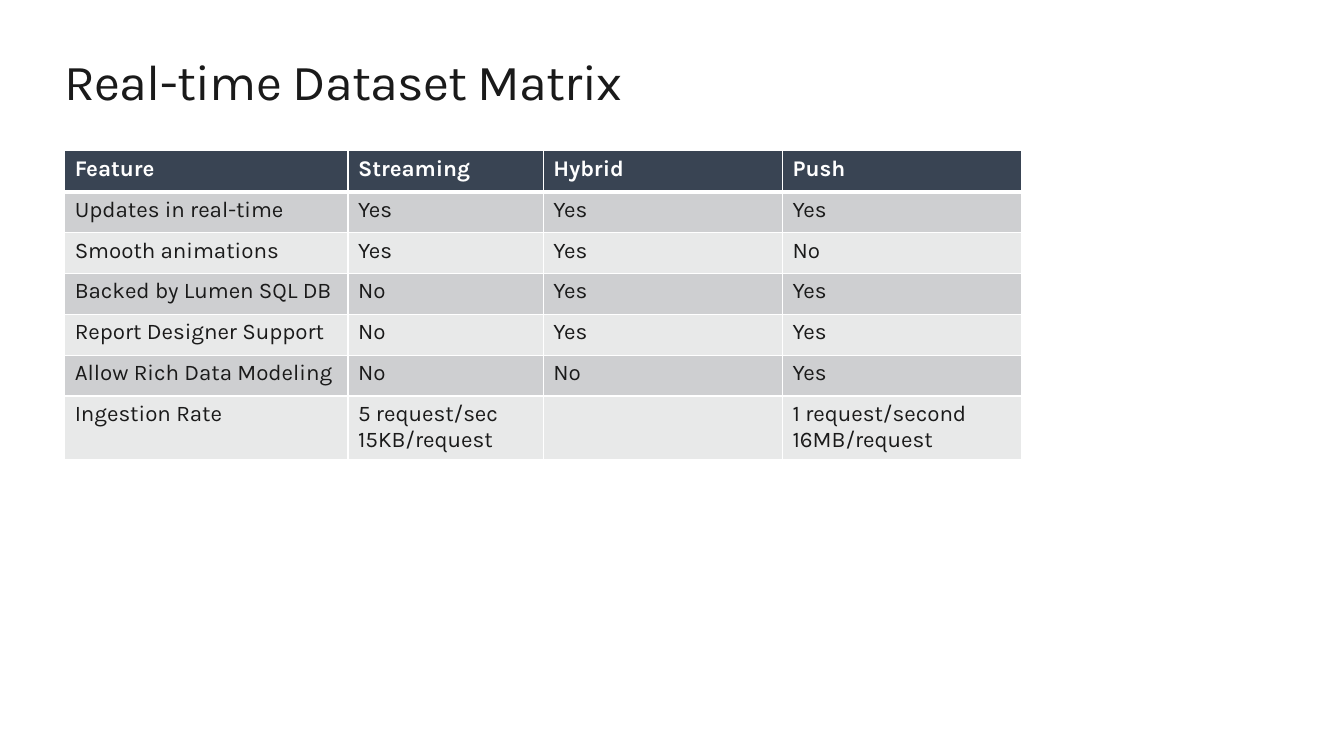
"""Build the real-time dataset feature matrix slide."""
from dataclasses import dataclass

import lxml.etree
import pptx
import pptx.dml.color
import pptx.enum.text
import pptx.oxml.ns
import pptx.util

Cm = pptx.util.Cm
Pt = pptx.util.Pt


@dataclass(frozen=True)
class Theme:
    font: str = "Karla"
    ink: str = "1A1A1A"
    paper: str = "FFFFFF"
    header: str = "394453"
    bands: tuple[str, str] = ("CECFD1", "E8E9E9")
    title_size: int = 36
    cell_size: int = 16
    thin: int = 1
    thick: int = 3


@dataclass(frozen=True)
class Feature:
    name: str
    streaming: str
    hybrid: str
    push: str

    def texts(self) -> tuple[str, ...]:
        return self.name, self.streaming, self.hybrid, self.push


THEME = Theme()
LEFT = Cm(1.63)
COLUMN_WIDTHS = (7.14, 4.92, 6.03, 6.03)
ROW_HEIGHT = 1.03
LAST_ROW_HEIGHT = 1.57
FEATURES = (
    Feature("Feature", "Streaming", "Hybrid", "Push"),
    Feature("Updates in real-time", "Yes", "Yes", "Yes"),
    Feature("Smooth animations", "Yes", "Yes", "No"),
    Feature("Backed by Lumen SQL DB", "No", "Yes", "Yes"),
    Feature("Report Designer Support", "No", "Yes", "Yes"),
    Feature("Allow Rich Data Modeling", "No", "No", "Yes"),
    Feature("Ingestion Rate", "5 request/sec\v15KB/request", "",
            "1 request/second\n16MB/request"),
)


def color(code: str) -> pptx.dml.color.RGBColor:
    return pptx.dml.color.RGBColor.from_string(code)


def format_text(frame, size: int, code: str, bold: bool = False) -> None:
    for para in frame.paragraphs:
        for span in para.runs:
            span.font.name = THEME.font
            span.font.size = Pt(size)
            span.font.bold = bold
            span.font.color.rgb = color(code)


def add_borders(cell, top: int, bottom: int) -> None:
    qn = pptx.oxml.ns.qn
    widths = {"lnL": THEME.thin, "lnR": THEME.thin, "lnT": top, "lnB": bottom}
    properties = cell._tc.get_or_add_tcPr()
    for index, (side, width) in enumerate(widths.items()):
        line = lxml.etree.Element(qn(f"a:{side}"), w=str(Pt(width)))
        fill = lxml.etree.SubElement(line, qn("a:solidFill"))
        lxml.etree.SubElement(fill, qn("a:srgbClr"), val=THEME.paper)
        properties.insert(index, line)


def add_title(page, text: str) -> None:
    box = page.shapes.add_textbox(LEFT, Cm(1.27), Cm(30.61), Cm(1.55))
    frame = box.text_frame
    frame.word_wrap = True
    frame.auto_size = pptx.enum.text.MSO_AUTO_SIZE.SHAPE_TO_FIT_TEXT
    frame.margin_left = frame.margin_right = 0
    frame.margin_top = frame.margin_bottom = 0
    frame.text = text
    format_text(frame, THEME.title_size, THEME.ink)
    frame.paragraphs[0].runs[0]._r.get_or_add_rPr().set("spc", "-50")


def style_cell(cell, row: int) -> None:
    is_header = row == 0
    cell.fill.solid()
    cell.fill.fore_color.rgb = color(
        THEME.header if is_header else THEME.bands[(row - 1) % 2])
    format_text(cell.text_frame, THEME.cell_size,
                THEME.paper if is_header else THEME.ink, is_header)
    add_borders(cell, THEME.thick if row == 1 else THEME.thin,
                THEME.thick if is_header else THEME.thin)


def add_matrix(page, features: tuple[Feature, ...]) -> None:
    heights = [ROW_HEIGHT] * (len(features) - 1) + [LAST_ROW_HEIGHT]
    table = page.shapes.add_table(
        len(features), len(COLUMN_WIDTHS), LEFT, Cm(3.8),
        Cm(sum(COLUMN_WIDTHS)), Cm(sum(heights))).table
    table.horz_banding = False
    for column, width in zip(table.columns, COLUMN_WIDTHS):
        column.width = Cm(width)
    for row, (feature, height) in enumerate(zip(features, heights)):
        table.rows[row].height = Cm(height)
        for column, text in enumerate(feature.texts()):
            cell = table.cell(row, column)
            cell.text_frame.text = text
            style_cell(cell, row)


def main() -> None:
    deck = pptx.Presentation()
    deck.slide_width, deck.slide_height = Cm(33.87), Cm(19.05)
    page = deck.slides.add_slide(deck.slide_layouts[6])
    page.background.fill.solid()
    page.background.fill.fore_color.rgb = color(THEME.paper)
    add_title(page, "Real-time Dataset Matrix")
    add_matrix(page, FEATURES)
    deck.save("out.pptx")


if __name__ == "__main__":
    main()
